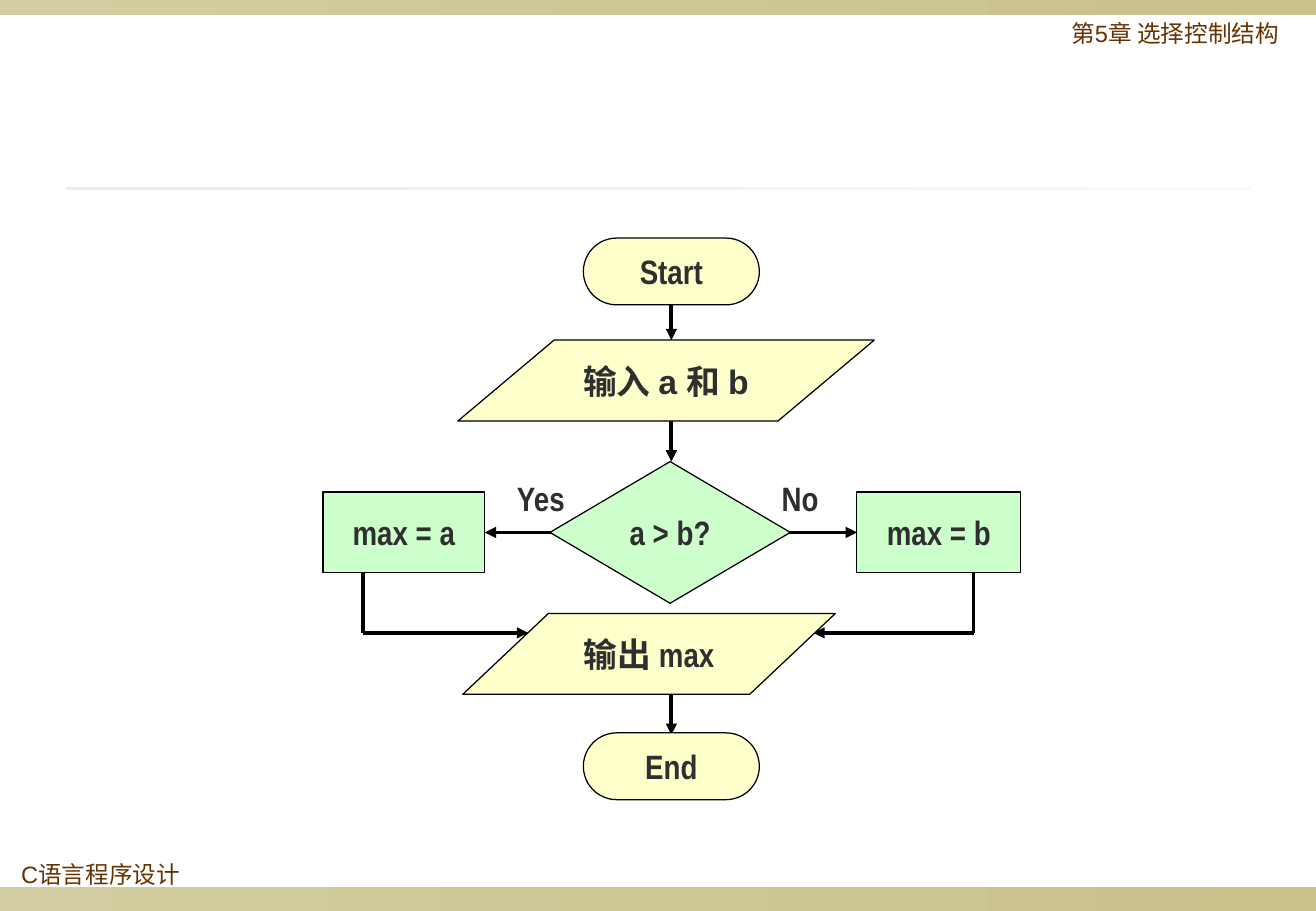
from itertools import pairwise

from lxml import etree
from pptx import Presentation
from pptx import util as u
from pptx.dml.color import RGBColor
from pptx.enum import shapes, text
from pptx.oxml import ns

# Content
COLORS = {"ink": "2F2F2F", "brown": "663300", "black": "000000",
          "yellow": "FFFFCC", "green": "CCFFCC",
          "olive_light": "D3CEA1", "olive_dark": "C8C18A",
          "rule_start": "EBEBE9", "rule_end": "F8F8F7"}
NARROW, SANS, CJK = "Arial Narrow", "Arial", "Noto Sans CJK SC"

# Bands as shares of the slide: left, top, width, height, gradient ends
BANDS = [
    (0, 0.974, 1, 0.026, "olive_light", "olive_dark"),
    (0, 0, 1, 0.016, "olive_light", "olive_dark"),
    (0.05, 0.205, 0.9, 0.0033, "rule_start", "rule_end"),
]
# Running texts as shares of the slide: left, top, width, height
RUNNING = [
    ("第5章 选择控制结构", 0.805, 0.018, 0.19, 0.052),
    ("C语言程序设计", 0.007, 0.941, 0.217, 0.052),
]
# Flowchart on a square grid; x is counted from the central axis
KIND = shapes.MSO_SHAPE
NODES = [  # kind, adjustment, fill, centre x, top, width, height, spans
    (KIND.ROUNDED_RECTANGLE, 0.5, "yellow", 0, -2.52, 4.35, 1.65, [("Start", NARROW)]),
    (KIND.PARALLELOGRAM, 1.19, "yellow", -0.13, 0, 10.29, 2, [("输入 a 和 b", SANS)]),
    (KIND.DIAMOND, None, "green", -0.03, 3, 5.94, 3.5, [("a > b?", NARROW)]),
    (KIND.RECTANGLE, None, "green", -6.61, 3.75, 4, 2, [("max = a", NARROW)]),
    (KIND.RECTANGLE, None, "green", 6.61, 3.75, 4.05, 2, [("max = b", NARROW)]),
    (KIND.PARALLELOGRAM, 1.06, "yellow", -0.55, 6.75, 9.21, 2,
     [("输出 ", CJK), ("max", NARROW)]),
    (KIND.ROUNDED_RECTANGLE, 0.5, "yellow", 0, 9.7, 4.35, 1.65, [("End", NARROW)]),
]
ROUTES = [  # corner points; the arrowhead sits on the last one
    [(0, -1), (0, 0)],
    [(0, 2), (0, 3)],
    [(0, 8.75), (0, 9.75)],
    [(-2.73, 4.75), (-4.61, 4.75)],
    [(2.43, 4.75), (4.59, 4.75)],
    [(-7.62, 5.75), (-7.62, 7.23), (-3.54, 7.23)],
    [(7.47, 5.75), (7.47, 7.23), (3.51, 7.23)],
]
BRANCHES = [("Yes", -4.11), ("No", 2.43)]  # text, left
BRANCH_TOP, BRANCH_WIDTH, BRANCH_HEIGHT = 3.25, 2.1, 1.32

deck = Presentation()
deck.slide_width, deck.slide_height = u.Inches(10.84), u.Inches(7.5)
page = deck.slides.add_slide(deck.slide_layouts[6])
CELL, AXIS, FLOW_TOP = u.Inches(1 / 3), u.Inches(5.53), u.Inches(2.8)


def color(name):
    return RGBColor.from_string(COLORS[name])


def grid(x, y):
    return int(AXIS + x * CELL), int(FLOW_TOP + y * CELL)


def share(left, top, width, height):
    return [int(part * side) for part, side in
            zip((left, top, width, height), (deck.slide_width, deck.slide_height) * 2)]


def write(shape, spans, size, ink, bold, frame_format, para_format):
    frame = shape.text_frame
    for name, value in frame_format.items():
        setattr(frame, name, value)
    para = frame.paragraphs[0]
    for name, value in para_format.items():
        setattr(para, name, value)
    for words, font in spans:
        span = para.add_run()
        span.text = words
        for name, value in {"name": font, "size": u.Pt(size), "bold": bold}.items():
            setattr(span.font, name, value)
        span.font.color.rgb = color(ink)
        east = etree.SubElement(span.font._element, ns.qn("a:ea"))
        east.set("typeface", CJK)


def connect(start, end, arrow):
    line = page.shapes.add_connector(shapes.MSO_CONNECTOR.STRAIGHT,
                                     *grid(*start), *grid(*end))
    line.line.color.rgb = color("black")
    line.line.width = u.Pt(2.25)
    if arrow:
        etree.SubElement(line.line._get_or_add_ln(), ns.qn("a:tailEnd"), type="triangle")
    etree.SubElement(line._element.spPr, ns.qn("a:effectLst"))


# Bands and running texts
for *place, first, last in BANDS:
    band = page.shapes.add_shape(KIND.RECTANGLE, *share(*place))
    band.shadow.inherit = False
    band.line.fill.background()
    band.fill.gradient()
    band.fill.gradient_angle = 0
    for stop, name in zip(band.fill.gradient_stops, (first, last)):
        stop.color.rgb = color(name)

for words, *place in RUNNING:
    box = page.shapes.add_textbox(*share(*place))
    write(box, [(words, SANS)], 14, "brown", False,
          {"word_wrap": True}, {"line_spacing": 0.9})

# Arrows
for route in ROUTES:
    for start, end in pairwise(route):
        connect(start, end, end == route[-1])

# Flowchart nodes
for kind, adjustment, fill, center, top, width, height, spans in NODES:
    node = page.shapes.add_shape(kind, *grid(center - width / 2, top),
                                 int(width * CELL), int(height * CELL))
    if adjustment is not None:
        node.adjustments[0] = adjustment
    node.shadow.inherit = False
    node.fill.solid()
    node.fill.fore_color.rgb = color(fill)
    node.line.color.rgb = color("black")
    node.line.width = u.Pt(0.75)
    write(node, spans, 20, "ink", True,
          {"word_wrap": False, "vertical_anchor": text.MSO_ANCHOR.MIDDLE},
          {"alignment": text.PP_ALIGN.CENTER, "space_after": u.Pt(5.9)})

# Branch labels
for words, left in BRANCHES:
    label = page.shapes.add_textbox(*grid(left, BRANCH_TOP),
                                    int(BRANCH_WIDTH * CELL), int(BRANCH_HEIGHT * CELL))
    write(label, [(words, NARROW)], 20, "ink", True,
          {"word_wrap": True}, {"space_after": u.Pt(5.9)})

deck.save("out.pptx")
